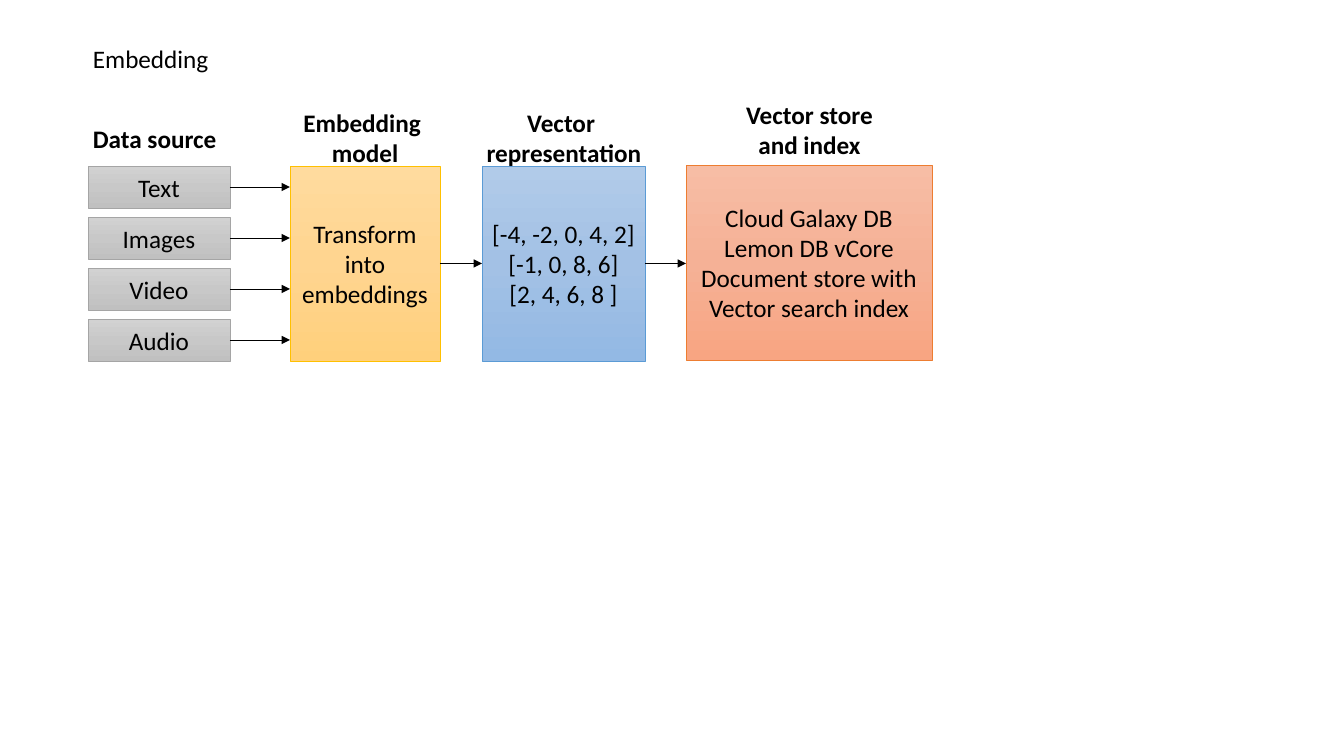
from copy import deepcopy
from pptx import Presentation
from pptx.dml.color import RGBColor
from pptx.enum.shapes import MSO_CONNECTOR, MSO_SHAPE
from pptx.enum.text import MSO_ANCHOR, PP_ALIGN
from pptx.oxml.ns import qn
from pptx.util import Pt
from lxml.etree import SubElement

SCALE = 914400 / 100.8
FONT, SIZE = "Calibri", 18
INK = "000000"
# line colour, then top, middle and bottom of the fill
COLORS = {
    "gray": ("A5A5A5", "D2D2D2", "C8C8C8", "C0C0C0"),
    "gold": ("FFC000", "FFDB9E", "FFD590", "FFD07C"),
    "blue": ("5B9BD5", "B1CBE9", "A3C1E5", "93B9E4"),
    "coral": ("ED7D31", "F7BDA5", "F5B196", "F8A582"),
}

SOURCES = ["Text", "Images", "Video", "Audio"]
ROW = {"left": 88, "top": 166, "wide": 142, "high": 42, "step": 51}
# lines, colour, left, top, width, height
STAGES = [
    (["Transform into embeddings"], "gold", 290, 166, 150, 195),
    (["[-4, -2, 0, 4, 2]", "[-1, 0, 8, 6]", "[2, 4, 6, 8 ]"],
     "blue", 482, 166, 163, 195),
    (["Cloud Galaxy DB", "Lemon DB vCore", "Document store with",
      "Vector search index"], "coral", 686, 165, 246, 195),
]
# lines, bold, centred, left, top, width, height
LABELS = [
    (["Embedding"], False, False, 83, 38, 137, 40),
    (["Data source"], True, False, 83, 118, 145, 40),
    (["Embedding ", "model"], True, True, 293, 102, 144, 71),
    (["Vector ", "representation"], True, True, 476, 102, 176, 71),
    (["Vector store", "and index"], True, True, 735, 94, 149, 71),
]


def emu(*sizes):
    """Turn pixels into EMU."""
    return [round(size * SCALE) for size in sizes]


def write(frame, lines, bold=False, center=True):
    """Fill a text frame, one paragraph a line."""
    for i, line in enumerate(lines):
        para = frame.add_paragraph() if i else frame.paragraphs[0]
        para.alignment = PP_ALIGN.CENTER if center else PP_ALIGN.LEFT
        run = para.add_run()
        run.text = line
        run.font.name, run.font.size, run.font.bold = FONT, Pt(SIZE), bold
        run.font.color.rgb = RGBColor.from_string(INK)


def add_box(lines, color, *place):
    """Draw a box with a three-stop vertical gradient."""
    box = slide.shapes.add_shape(MSO_SHAPE.RECTANGLE, *emu(*place))
    box.shadow.inherit = False
    edge, *shades = COLORS[color]
    box.fill.gradient()
    box.fill.gradient_angle = 270
    stops = box._element.spPr.find(".//" + qn("a:gsLst"))
    stops.append(deepcopy(stops[0]))
    for i, stop in enumerate(box.fill.gradient_stops):
        stop.position = i / 2
        stop.color.rgb = RGBColor.from_string(shades[i])
    box.line.color.rgb = RGBColor.from_string(edge)
    box.line.width = Pt(0.5)
    box.text_frame.word_wrap = True
    box.text_frame.vertical_anchor = MSO_ANCHOR.MIDDLE
    write(box.text_frame, lines)


def add_label(lines, bold, center, *place):
    """Place a heading that does not wrap."""
    box = slide.shapes.add_textbox(*emu(*place))
    box.text_frame.word_wrap = False
    write(box.text_frame, lines, bold, center)


def add_arrow(start, end, y):
    """Draw a level arrow pointing right."""
    arrow = slide.shapes.add_connector(
        MSO_CONNECTOR.STRAIGHT, *emu(start, y, end, y))
    arrow.line.color.rgb = RGBColor.from_string(INK)
    arrow.line.width = Pt(0.5)
    SubElement(arrow.line._get_or_add_ln(), qn("a:tailEnd"), type="triangle")
    SubElement(arrow._element.spPr, qn("a:effectLst"))


deck = Presentation()
deck.slide_width, deck.slide_height = emu(1344, 756)
slide = deck.slides.add_slide(deck.slide_layouts[6])

for i, name in enumerate(SOURCES):
    top = ROW["top"] + i * ROW["step"]
    add_box([name], "gray", ROW["left"], top, ROW["wide"], ROW["high"])
    add_arrow(ROW["left"] + ROW["wide"], STAGES[0][2], top + ROW["high"] / 2)
for stage in STAGES:
    add_box(*stage)
for (_, _, left, top, wide, high), after in zip(STAGES, STAGES[1:]):
    add_arrow(left + wide, after[2], top + high / 2)
for label in LABELS:
    add_label(*label)

deck.save("out.pptx")
